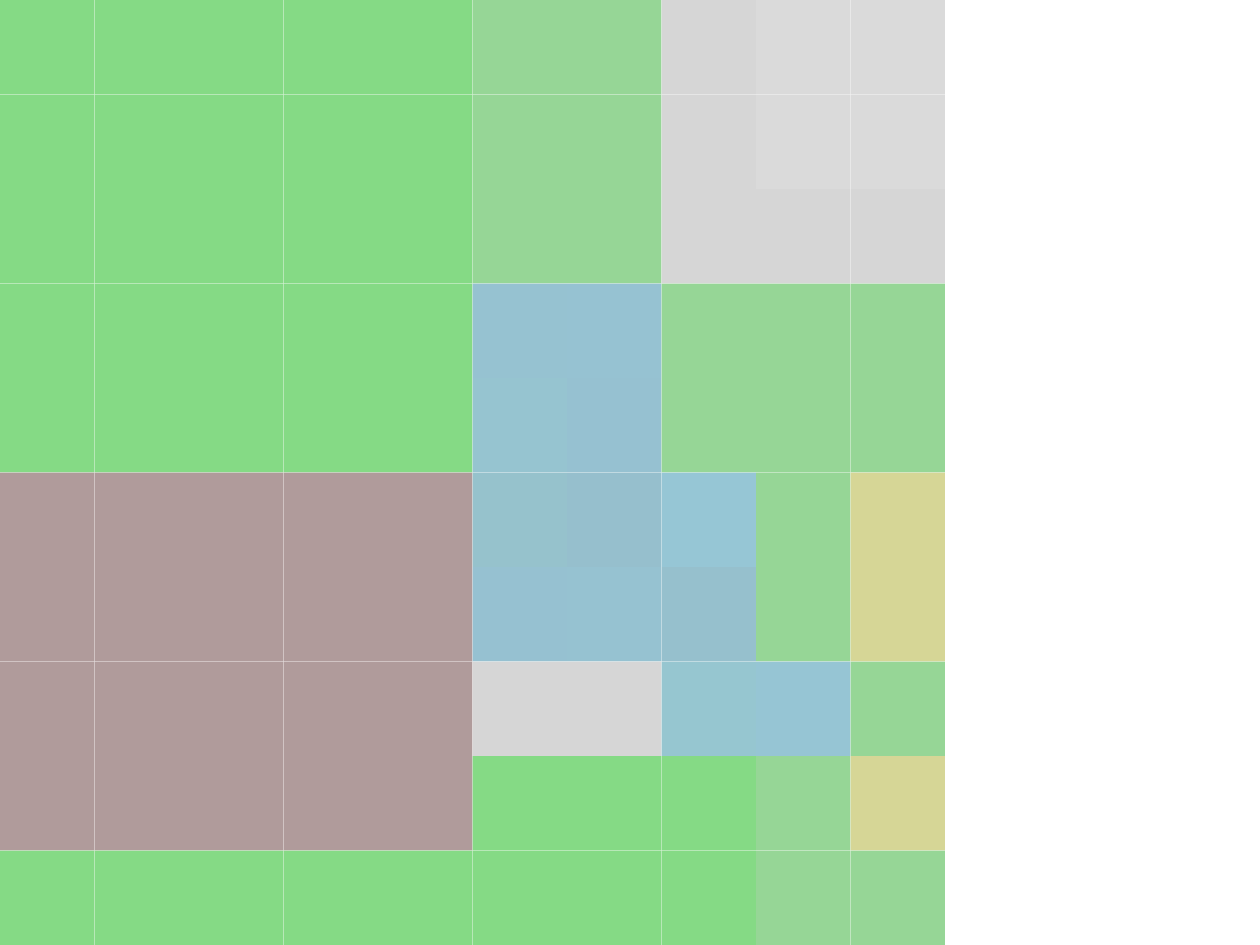
"""Build a slide with a terrain map made of coloured square tiles."""
from dataclasses import dataclass

from pptx import Presentation
from pptx.dml.color import RGBColor
from pptx.enum.shapes import MSO_SHAPE
from pptx.slide import Slide
from pptx.util import Pt

RECTANGLE = MSO_SHAPE.RECTANGLE
BLANK_LAYOUT = 6
SLIDE_WIDTH, SLIDE_HEIGHT = 720, 540
TILE_SIZE = 54

TERRAIN_COLORS = {
    "G": "85DA85",
    "L": "96D696",
    "B": "B09B9B",
    "S": "D6D6D6",
    "P": "DADADA",
    "Y": "D6D696",
    "a": "96C2D1",
    "b": "96C4D0",
    "c": "96C2CC",
    "d": "96C1D1",
    "e": "96C2D2",
    "f": "96BFCD",
    "h": "96C6D5",
    "i": "96C0CD",
    "j": "96C6D0",
    "k": "96C5D4",
}

MAP_COLUMNS = ["GGGGGBBBBG"] * 5 + [
    "LLLabcdSGG",
    "LLLedfaSGG",
    "SSSLLhijGG",
    "PPSLLLLkLL",
    "PPSLLYYLYL",
]


@dataclass(frozen=True)
class Tile:
    """One map square, placed by column and row."""

    column: int
    row: int
    color: str


def rgb(color: str) -> RGBColor:
    """Turn a hex string into a colour."""
    return RGBColor.from_string(color)


def draw_tile(slide: Slide, tile: Tile) -> None:
    """Draw one borderless square of the map."""
    shape = slide.shapes.add_shape(
        RECTANGLE,
        Pt(tile.column * TILE_SIZE),
        Pt(tile.row * TILE_SIZE),
        Pt(TILE_SIZE),
        Pt(TILE_SIZE),
    )
    shape.shadow.inherit = False
    shape.fill.solid()
    shape.fill.fore_color.rgb = rgb(tile.color)
    shape.line.fill.background()


def main() -> None:
    """Create the presentation and save it."""
    presentation = Presentation()
    presentation.slide_width = Pt(SLIDE_WIDTH)
    presentation.slide_height = Pt(SLIDE_HEIGHT)
    slide = presentation.slides.add_slide(presentation.slide_layouts[BLANK_LAYOUT])
    for column, terrains in enumerate(MAP_COLUMNS):
        for row, terrain in enumerate(terrains):
            draw_tile(slide, Tile(column, row, TERRAIN_COLORS[terrain]))
    presentation.save("out.pptx")


if __name__ == "__main__":
    main()
